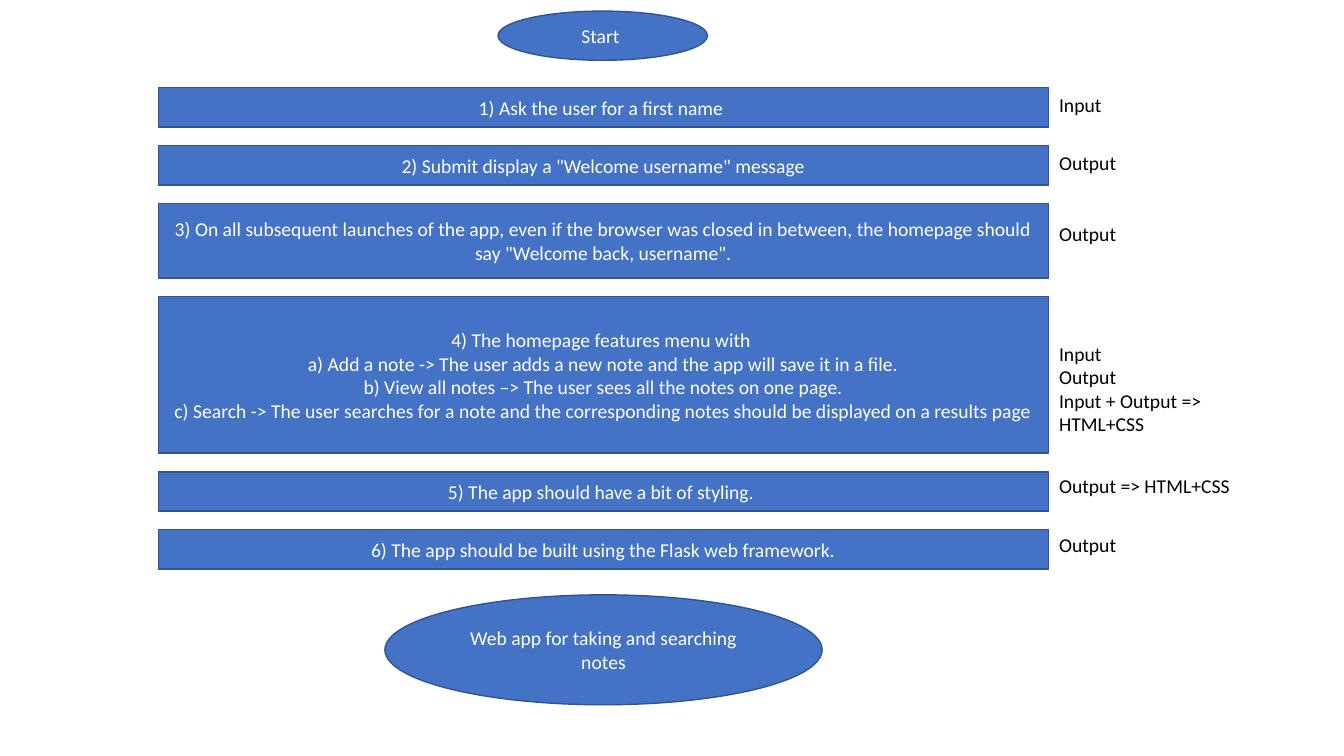
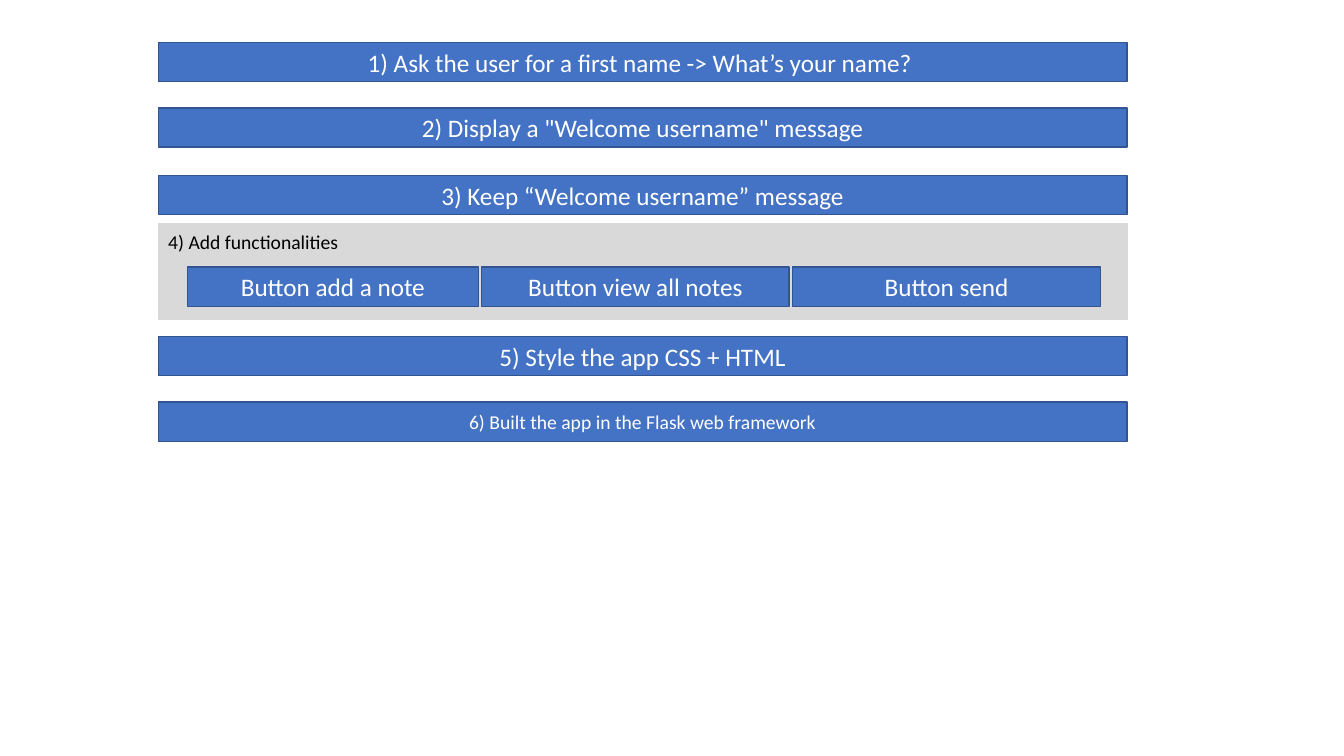
from dataclasses import dataclass

from pptx import Presentation
from pptx.dml.color import RGBColor
from pptx.enum.shapes import MSO_SHAPE
from pptx.enum.text import MSO_ANCHOR, PP_ALIGN
from pptx.util import Cm, Pt

# Shared look
BLUE = RGBColor(0x44, 0x72, 0xC4)
EDGE = RGBColor(0x32, 0x54, 0x91)
GREY = RGBColor(0xD9, 0xD9, 0xD9)
WHITE = RGBColor(0xFF, 0xFF, 0xFF)
BLACK = RGBColor(0x00, 0x00, 0x00)
FONT = "Calibri"

# Shared measures in centimetres
LEFT = 3.99
BAR = 0.99
LINE = 0.86


@dataclass(frozen=True)
class Box:
    left: float
    top: float
    width: float
    height: float

    def place(self) -> tuple[Cm, Cm, Cm, Cm]:
        return Cm(self.left), Cm(self.top), Cm(self.width), Cm(self.height)


@dataclass(frozen=True)
class Step:
    text: str
    height: float
    tag: str
    tag_top: float
    tag_width: float = 3.61


@dataclass(frozen=True)
class Bar:
    text: str
    top: float
    size: int = 18


@dataclass(frozen=True)
class Button:
    text: str
    left: float
    width: float


STEPS = [
    Step("1) Ask the user for a first name ", BAR, "Input", 2.21),
    Step('2) Submit display a "Welcome username" message', BAR, "Output", 3.68),
    Step("3) On all subsequent launches of the app, even if the browser was "
         "closed in between, the homepage should say "
         '"Welcome back, username".', 1.88, "Output", 5.46),
    Step("4) The homepage features menu with \n"
         " a) Add a note -> The user adds a new note and the app will save it "
         "in a file. \n"
         "b) View all notes –> The user sees all the notes on one page.\n"
         "c) Search -> The user searches for a note and the corresponding "
         "notes should be displayed on a results page", 3.94,
         "Input\nOutput\nInput + Output => HTML+CSS", 8.48, 5.79),
    Step("5) The app should have a bit of styling. ", BAR,
         "Output => HTML+CSS", 11.81, 5.79),
    Step("6) The app should be built using the Flask web framework.", BAR,
         "Output", 13.31, 5.79),
]

BARS = [
    Bar("1) Ask the user for a first name -> What’s your name? ", 1.07),
    Bar('2) Display a "Welcome username" message', 2.72),
    Bar("3) Keep “Welcome username” message", 4.42),
    Bar("5) Style the app CSS + HTML", 8.48),
    Bar("6) Built the app in the Flask web framework", 10.13, 14),
]

BUTTONS = [
    Button("Button add a note", 4.72, 7.34),
    Button("Button view all notes", 12.14, 7.75),
    Button("Button send", 19.98, 7.75),
]


def write(frame, text: str, *, size: int = 14, color: RGBColor = BLACK,
          align: PP_ALIGN = PP_ALIGN.LEFT,
          anchor: MSO_ANCHOR = MSO_ANCHOR.TOP) -> None:
    """Fill a text frame, one paragraph for each line."""
    frame.word_wrap = True
    frame.vertical_anchor = anchor
    for i, line in enumerate(text.split("\n")):
        para = frame.paragraphs[0] if i == 0 else frame.add_paragraph()
        para.alignment = align
        run = para.add_run()
        run.text = line
        run.font.name = FONT
        run.font.size = Pt(size)
        run.font.color.rgb = color


def block(slide, box: Box, text: str = "", *, kind: MSO_SHAPE = MSO_SHAPE.RECTANGLE,
          size: int = 14, fill: RGBColor = BLUE, edge: RGBColor = EDGE) -> None:
    """Draw a filled shape with centred text."""
    shape = slide.shapes.add_shape(kind, *box.place())
    shape.shadow.inherit = False
    shape.fill.solid()
    shape.fill.fore_color.rgb = fill
    shape.line.color.rgb = edge
    shape.line.width = Pt(1)
    if text:
        write(shape.text_frame, text, size=size, color=WHITE,
              align=PP_ALIGN.CENTER, anchor=MSO_ANCHOR.MIDDLE)


def label(slide, box: Box, text: str) -> None:
    """Draw plain black text."""
    write(slide.shapes.add_textbox(*box.place()).text_frame, text)


def draw_flow(slide) -> None:
    width, gap = 22.43, 0.47

    # Start and end
    block(slide, Box(12.55, 0.28, 5.28, 1.24), "Start ", kind=MSO_SHAPE.OVAL)
    block(slide, Box(9.7, 14.99, 11.02, 2.77),
          "Web app for taking and searching notes", kind=MSO_SHAPE.OVAL)

    # Steps, stacked with equal gaps, and their tags
    top = 2.21
    for step in STEPS:
        block(slide, Box(LEFT, top, width, step.height), step.text)
        label(slide, Box(LEFT + width + 0.02, step.tag_top, step.tag_width, LINE),
              step.tag)
        top += step.height + gap


def draw_page(slide) -> None:
    width = 24.41

    # Full-width bars
    for bar in BARS:
        block(slide, Box(LEFT, bar.top, width, BAR), bar.text, size=bar.size)

    # Panel with buttons
    block(slide, Box(LEFT, 5.64, width, 2.41), fill=GREY, edge=GREY)
    label(slide, Box(LEFT, 5.66, 5.44, LINE), "4) Add functionalities")
    for button in BUTTONS:
        block(slide, Box(button.left, 6.73, button.width, BAR), button.text, size=18)


def main() -> None:
    deck = Presentation()
    deck.slide_width, deck.slide_height = Cm(33.87), Cm(19.05)
    for draw in (draw_flow, draw_page):
        draw(deck.slides.add_slide(deck.slide_layouts[6]))
    deck.save("out.pptx")


if __name__ == "__main__":
    main()
